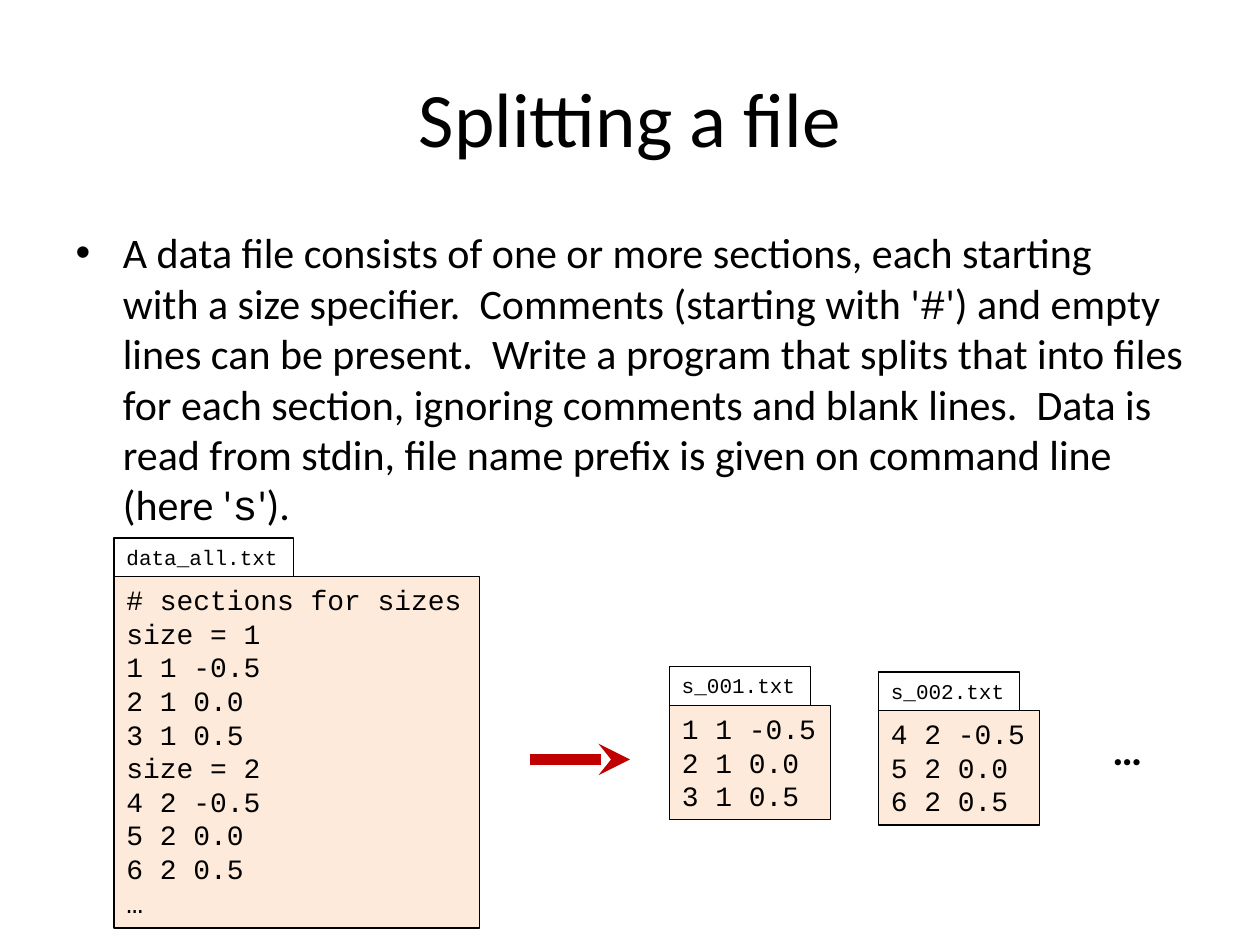
from dataclasses import dataclass

from lxml.etree import SubElement
from pptx import Presentation
from pptx.dml.color import RGBColor
from pptx.enum.shapes import MSO_CONNECTOR as Connector
from pptx.enum.text import MSO_ANCHOR as Anchor, MSO_AUTO_SIZE as AutoSize, PP_ALIGN as Align
from pptx.oxml.ns import qn
from pptx.util import Pt

COLOURS = {"ink": "000000", "paper": "FDEADA", "arrow": "C00000"}
SANS, MONO = "Calibri", "Courier New"
TAB_HEIGHT = 22


@dataclass
class DataFile:
    """A file listing with its name on a tab; lengths in points."""
    name: str
    lines: list[str]
    left: float
    top: float
    width: float
    height: float
    tab_width: float


SECTION_1 = ["1 1 -0.5", "2 1 0.0", "3 1 0.5"]
SECTION_2 = ["4 2 -0.5", "5 2 0.0", "6 2 0.5"]
ALL_LINES = ["# sections for sizes", "size = 1", *SECTION_1, "size = 2", *SECTION_2, "…"]
FILES = [
    DataFile("s_001.txt", SECTION_1, 382.5, 403, 92.2, 65.4, 80.5),
    DataFile("s_002.txt", SECTION_2, 502, 406, 92.2, 65.4, 80.5),
    DataFile("data_all.txt", ALL_LINES, 65.2, 329.5, 208.8, 200.9, 102.5),
]
BODY_SPANS = [
    ("A data file consists of one or more sections, each starting  with a size specifier.  "
     "Comments (starting with '", SANS),
    ("#", MONO),
    ("') and empty lines can be present.  Write a program that splits that into files for "
     "each section, ignoring comments and blank lines.  Data is read from stdin, file name "
     "prefix is given on command line (here '", SANS),
    ("s", MONO),
    ("').", SANS),
]


def colour(name: str) -> RGBColor:
    """Look up a named colour."""
    return RGBColor.from_string(COLOURS[name])


def place(shape, left: float, top: float, width: float, height: float) -> None:
    """Move and size a shape, in points."""
    shape.left, shape.top, shape.width, shape.height = map(Pt, (left, top, width, height))


def style(font, size: float, family: str = SANS, bold: bool = False) -> None:
    """Set the size, family and weight of dark text."""
    font.size, font.name, font.bold = Pt(size), family, bold
    font.color.rgb = colour("ink")


def add_text(slide, lines: list[str], bounds: tuple, size: float,
             family: str = MONO, bold: bool = False):
    """Add an unwrapped text box with one paragraph per line."""
    box = slide.shapes.add_textbox(*map(Pt, bounds))
    frame = box.text_frame
    frame.word_wrap = False
    frame.auto_size = AutoSize.SHAPE_TO_FIT_TEXT
    frame.text = "\n".join(lines)
    for para in frame.paragraphs:
        style(para.font, size, family, bold)
    return box


def add_file(slide, file: DataFile) -> None:
    """Draw a file listing and the name tab above it."""
    listing = add_text(slide, file.lines, (file.left, file.top, file.width, file.height), 16)
    listing.fill.solid()
    listing.fill.fore_color.rgb = colour("paper")
    tab = add_text(slide, [file.name],
                   (file.left, file.top - TAB_HEIGHT, file.tab_width, TAB_HEIGHT), 12)
    for box in (listing, tab):
        box.line.color.rgb = colour("ink")
        box.line.width = Pt(0.75)


def add_arrow(slide, start: float, end: float, height: float) -> None:
    """Draw a thick horizontal arrow pointing right."""
    arrow = slide.shapes.add_connector(
        Connector.STRAIGHT, Pt(start), Pt(height), Pt(end), Pt(height))
    arrow.line.color.rgb = colour("arrow")
    arrow.line.width = Pt(6)
    SubElement(arrow.line._get_or_add_ln(), qn("a:tailEnd"), type="stealth")
    SubElement(arrow._element.spPr, qn("a:effectLst"))


def fill_placeholders(slide) -> None:
    """Write the title and the bulleted task."""
    title, body = slide.shapes.title, slide.placeholders[1]
    place(title, 36, 21.6, 648, 90)
    title.text_frame.text = "Splitting a file"
    title.text_frame.vertical_anchor = Anchor.MIDDLE
    heading = title.text_frame.paragraphs[0]
    heading.alignment = Align.CENTER
    style(heading.font, 44)

    place(body, 36, 126, 648, 356.4)
    para = body.text_frame.paragraphs[0]
    style(para.font, 24)
    for text, family in BODY_SPANS:
        span = para.add_run()
        span.text = text
        span.font.name = family


def main() -> None:
    """Build and save the deck."""
    deck = Presentation()
    deck.slide_width, deck.slide_height = Pt(720), Pt(540)
    page = deck.slides.add_slide(deck.slide_layouts[1])
    fill_placeholders(page)
    for file in FILES:
        add_file(page, file)
    add_text(page, ["…"], (628.6, 409.7, 31.7, 36), 24, SANS, bold=True)
    add_arrow(page, 303, 360, 434)
    deck.save("out.pptx")


main()
